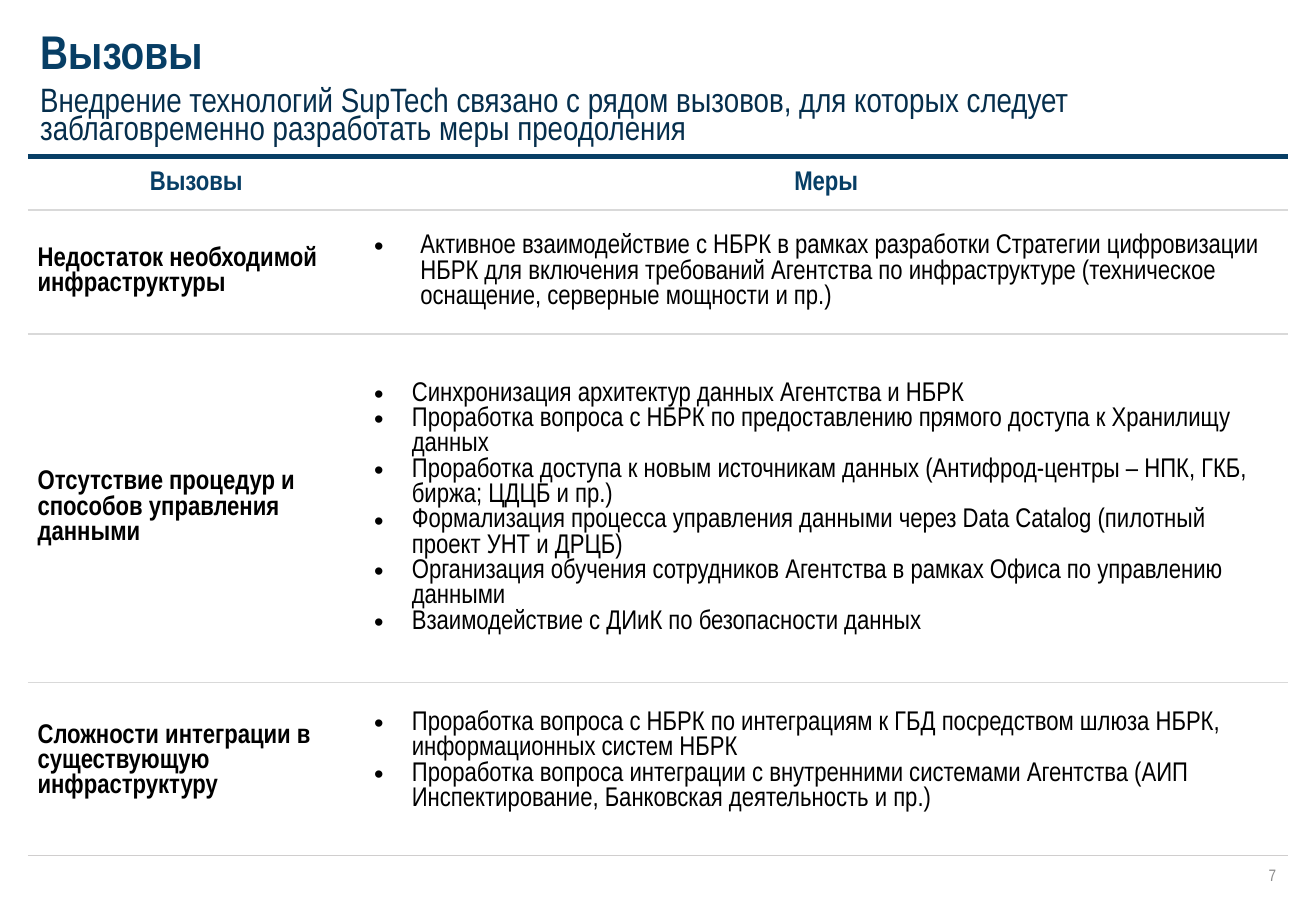
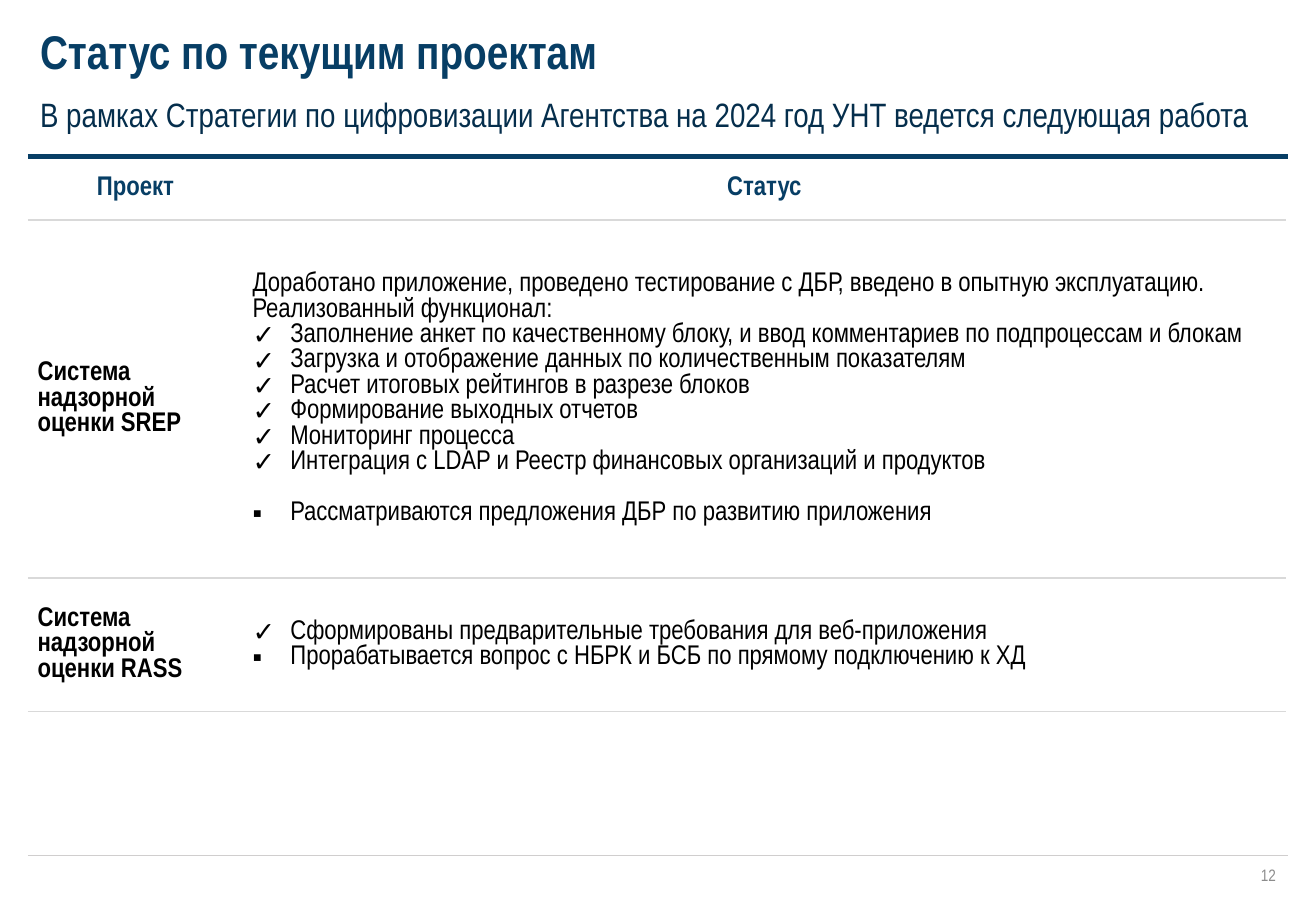
from pptx import Presentation
from pptx.dml.color import RGBColor
from pptx.enum.shapes import MSO_CONNECTOR
from pptx.enum.text import MSO_ANCHOR, MSO_AUTO_SIZE, PP_ALIGN
from pptx.oxml.ns import qn
from pptx.util import Inches, Pt
from lxml.etree import SubElement

FONT = "Arial Narrow"
COLORS = {"navy": "073E65", "subtitle": "052E4C", "text": "000000",
          "number": "8C8C8C", "footer": "D0CECE", "grid": "D9D9D9"}
NO_STYLE = "{2D5ABB26-0587-4C30-8999-92F81FD0307C}"
LEFT, WIDTH = 0.23, 10.37
TABLE_TOP = 1.3
TITLE_BOX = (LEFT, 0.26, WIDTH, 0.37)
SUBTITLE_BOX = (LEFT, 0.67, WIDTH, 0.6)
NUMBER_BOX = (7.65, 7.06, 2.95, 0.29)
RULES = [(1.29, "navy", 3), (7.04, "footer", 0.5)]
INDENT = 0.31
BLANK_LINE = 15

SLIDES = [
    {
        "number": "7",
        "title": "Вызовы",
        "subtitle": "Внедрение технологий SupTech связано с рядом вызовов, для которых следует "
                    "заблаговременно разработать меры преодоления",
        "subtitle_spacing": 0.7,
        "columns": [2.77, 7.6],
        "heights": [0.43, 1.02, 2.87, 1.3],
        "ruled_rows": 3,
        "header": ["Вызовы", "Меры"],
        "rows": [
            ("Недостаток необходимой инфраструктуры", 0.38, [
                ("•", "Активное взаимодействие с НБРК в рамках разработки Стратегии цифровизации НБРК "
                      "для включения требований Агентства по инфраструктуре (техническое оснащение, "
                      "серверные мощности и пр.)"),
            ]),
            ("Отсутствие процедур и способов управления данными", INDENT, [
                ("•", "Синхронизация архитектур данных Агентства и НБРК"),
                ("•", "Проработка вопроса с НБРК по предоставлению прямого доступа к Хранилищу данных"),
                ("•", "Проработка доступа к новым источникам данных (Антифрод-центры – НПК, ГКБ, "
                      "биржа; ЦДЦБ и пр.)"),
                ("•", "Формализация процесса управления данными через Data Catalog (пилотный проект "
                      "УНТ и ДРЦБ)"),
                ("•", "Организация обучения сотрудников Агентства в рамках Офиса по управлению данными"),
                ("•", "Взаимодействие с ДИиК по безопасности данных"),
            ]),
            ("Сложности интеграции в существующую инфраструктуру", INDENT, [
                ("•", "Проработка вопроса с НБРК по интеграциям к ГБД посредством шлюза НБРК, "
                      "информационных систем НБРК"),
                ("•", "Проработка вопроса интеграции с внутренними системами Агентства (АИП "
                      "Инспектирование, Банковская деятельность и пр.)"),
            ]),
        ],
    },
    {
        "number": "12",
        "title": "Статус по текущим проектам",
        "subtitle": "В рамках Стратегии по цифровизации Агентства на 2024 год УНТ ведется следующая работа",
        "subtitle_spacing": 0.8,
        "columns": [1.77, 8.58],
        "heights": [0.51, 2.95, 1.1],
        "ruled_rows": 3,
        "header": ["Проект", "Статус"],
        "rows": [
            ("Система надзорной оценки SREP", INDENT, [
                (None, "Доработано приложение, проведено тестирование с ДБР, введено в опытную "
                       "эксплуатацию. Реализованный функционал:"),
                ("✓", "Заполнение анкет по качественному блоку, и ввод комментариев по подпроцессам и блокам"),
                ("✓", "Загрузка и отображение данных по количественным показателям"),
                ("✓", "Расчет итоговых рейтингов в разрезе блоков"),
                ("✓", "Формирование выходных отчетов"),
                ("✓", "Мониторинг процесса"),
                ("✓", "Интеграция с LDAP и Реестр финансовых организаций и продуктов"),
                ("▪", "Рассматриваются предложения ДБР по развитию приложения", BLANK_LINE),
            ]),
            ("Система надзорной оценки RASS", INDENT, [
                ("✓", "Сформированы предварительные требования для веб-приложения"),
                ("▪", "Прорабатывается вопрос с НБРК и БСБ по прямому подключению к ХД"),
            ]),
        ],
    },
]


def color(name):
    return RGBColor.from_string(COLORS[name])


def place(shape, box):
    shape.left, shape.top, shape.width, shape.height = map(Inches, box)


def write(paragraph, text, size, color_name, bold=False, align=PP_ALIGN.LEFT, spacing=1.0, before=0):
    paragraph.alignment = align
    paragraph.line_spacing = spacing
    paragraph.space_before = Pt(before)
    run = paragraph.add_run()
    run.text = text
    run.font.name, run.font.size, run.font.bold = FONT, Pt(size), bold
    run.font.color.rgb = color(color_name)


def set_bullet(paragraph, mark, indent=0):
    properties = paragraph._p.get_or_add_pPr()
    properties.set("marL", str(Inches(indent)))
    properties.set("indent", str(-Inches(indent)))
    if mark:
        SubElement(properties, qn("a:buFont"), typeface="Arial")
        SubElement(properties, qn("a:buChar"), char=mark)
    else:
        SubElement(properties, qn("a:buNone"))


def center_frame(frame):
    frame.word_wrap = True
    frame.auto_size = MSO_AUTO_SIZE.NONE
    frame.vertical_anchor = MSO_ANCHOR.MIDDLE
    return frame.paragraphs[0]


def add_layout_rules(layout, slide):
    for y, color_name, weight in RULES:
        rule = slide.shapes.add_connector(MSO_CONNECTOR.STRAIGHT, Inches(LEFT), Inches(y),
                                          Inches(LEFT + WIDTH), Inches(y))
        rule.line.color.rgb = color(color_name)
        rule.line.width = Pt(weight)
        SubElement(rule.element.spPr, qn("a:effectLst"))
        layout.element.cSld.spTree.append(rule.element)


def style_cell(cell, ruled):
    cell.vertical_anchor = MSO_ANCHOR.MIDDLE
    cell.margin_left = cell.margin_right = Inches(0.08)
    cell.margin_top = cell.margin_bottom = Inches(0.04)
    if ruled:
        border = SubElement(cell._tc.get_or_add_tcPr(), qn("a:lnB"), w=str(Pt(1)))
        fill = SubElement(border, qn("a:solidFill"))
        SubElement(fill, qn("a:srgbClr"), val=COLORS["grid"])
    cell.fill.background()


def add_measures(cell, indent, measures):
    frame = cell.text_frame
    for index, (mark, text, *gap) in enumerate(measures):
        paragraph = frame.add_paragraph() if index else frame.paragraphs[0]
        set_bullet(paragraph, mark, indent if mark else 0)
        write(paragraph, text, 16, "text", before=sum(gap))


def add_status_table(slide, content):
    columns, heights = content["columns"], content["heights"]
    frame = slide.shapes.add_table(len(heights), len(columns), Inches(LEFT), Inches(TABLE_TOP),
                                   Inches(sum(columns)), Inches(sum(heights)))
    table = frame.table
    table.first_row = table.horz_banding = False
    table._tbl.tblPr.find(qn("a:tableStyleId")).text = NO_STYLE
    for column, width in zip(table.columns, columns):
        column.width = Inches(width)
    for index, (row, height) in enumerate(zip(table.rows, heights)):
        row.height = Inches(height)
        for cell in row.cells:
            style_cell(cell, index < content["ruled_rows"])
    for cell, heading in zip(table.rows[0].cells, content["header"]):
        write(cell.text_frame.paragraphs[0], heading, 16, "navy", True, PP_ALIGN.CENTER)
    for index, (topic, indent, measures) in enumerate(content["rows"], 1):
        write(table.cell(index, 0).text_frame.paragraphs[0], topic, 16, "text", True)
        add_measures(table.cell(index, 1), indent, measures)


def fill_slide(slide, content):
    title, subtitle = slide.shapes.title, slide.placeholders[1]
    write(center_frame(title.text_frame), content["title"], 28, "navy", True, spacing=0.9)
    subtitle_line = center_frame(subtitle.text_frame)
    set_bullet(subtitle_line, None)
    write(subtitle_line, content["subtitle"], 20, "subtitle", spacing=content["subtitle_spacing"])
    number = slide.shapes.add_textbox(*map(Inches, NUMBER_BOX))
    write(center_frame(number.text_frame), content["number"], 9.8, "number", align=PP_ALIGN.RIGHT)
    add_status_table(slide, content)


def main():
    deck = Presentation()
    deck.slide_width, deck.slide_height = Inches(10.83), Inches(7.5)
    layout = deck.slide_layouts[1]
    place(layout.placeholders[0], TITLE_BOX)
    place(layout.placeholders[1], SUBTITLE_BOX)
    for index, content in enumerate(SLIDES):
        slide = deck.slides.add_slide(layout)
        if index == 0:
            add_layout_rules(layout, slide)
        fill_slide(slide, content)
    deck.save("out.pptx")


if __name__ == "__main__":
    main()
